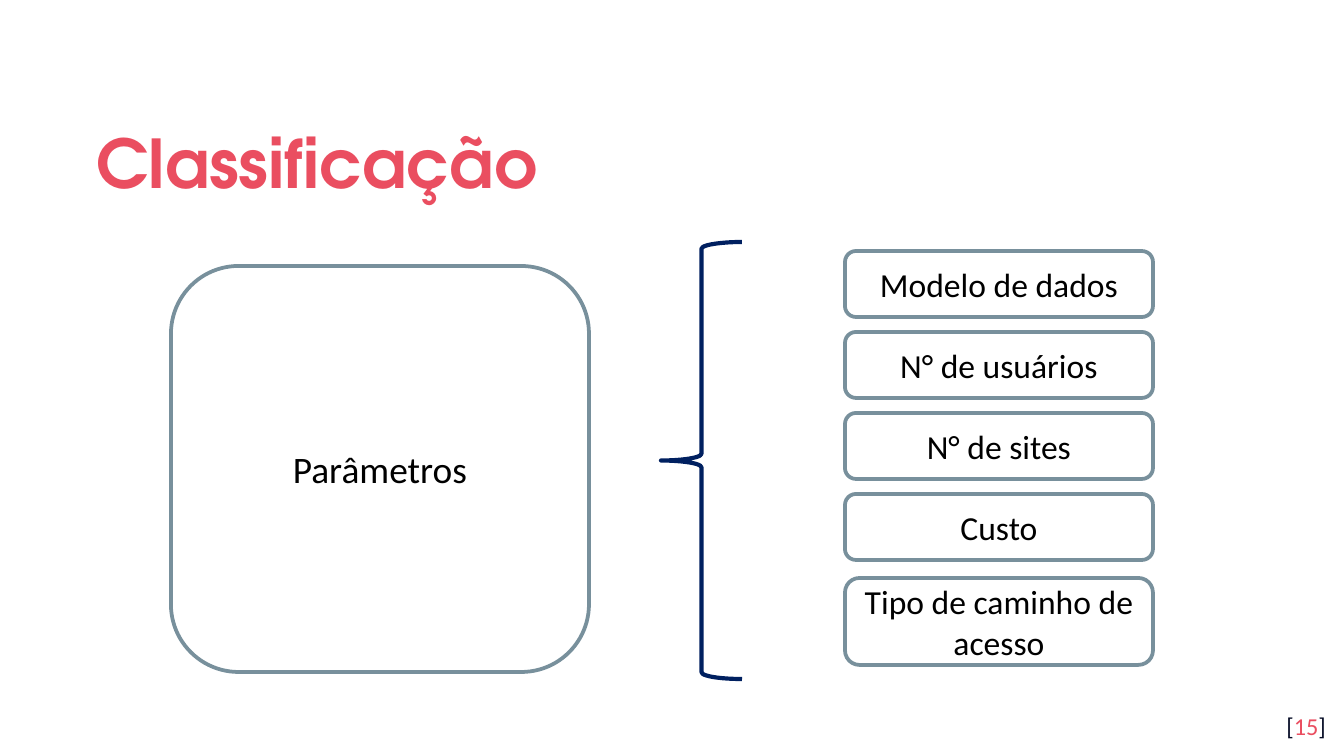
from pptx import Presentation
from pptx.dml.color import RGBColor
from pptx.enum.shapes import MSO_SHAPE
from pptx.enum.text import MSO_ANCHOR, MSO_AUTO_SIZE, PP_ALIGN
from pptx.util import Inches, Pt

ROUNDED, BRACE = MSO_SHAPE.ROUNDED_RECTANGLE, MSO_SHAPE.LEFT_BRACE
MIDDLE, TOP = MSO_ANCHOR.MIDDLE, MSO_ANCHOR.TOP
LEFT, CENTER, RIGHT = PP_ALIGN.LEFT, PP_ALIGN.CENTER, PP_ALIGN.RIGHT

WHITE = RGBColor(0xFF, 0xFF, 0xFF)
BLACK = RGBColor(0x00, 0x00, 0x00)
CORAL = RGBColor(0xEA, 0x4E, 0x60)
INK = RGBColor(0x04, 0x0A, 0x24)
SLATE = RGBColor(0x78, 0x90, 0x9C)
NAVY = RGBColor(0x00, 0x20, 0x60)
TITLE_FONT, BODY_FONT = "TeX Gyre Adventor", "Calibri"

TITLE = "Classificação"
TOPIC = "Parâmetros"
PARAMETERS = ["Modelo de dados", "N° de usuários", "N° de sites", "Custo",
              "Tipo de caminho de acesso"]
PAGE_NUMBER = [("[", INK), ("15", CORAL), ("]", INK)]

SLIDE_SIZE = (1344, 756)
TITLE_BOX = (83, 94, 1179, 124)
TOPIC_BOX = (171, 266, 418, 406)
BRACE_BOX = (661, 242, 81, 437)
PAGE_BOX = (1258, 698, 81, 58)
LIST_LEFT, LIST_TOP, LIST_WIDTH = 845, 251, 308
ROW_HEIGHT, ROW_PITCH = 66, 81
LAST_HEIGHT, LAST_EXTRA_GAP = 87, 3
EMU_PER_PIXEL = 914400 / 134.4


def emu(pixels):
    """Convert pixel lengths to EMU."""
    return [round(pixel * EMU_PER_PIXEL) for pixel in pixels]


def write(shape, runs, size, font, align, anchor, bold=False):
    """Put one paragraph of coloured runs in a shape."""
    frame = shape.text_frame
    frame.word_wrap = True
    frame.auto_size = MSO_AUTO_SIZE.NONE
    frame.vertical_anchor = anchor
    paragraph = frame.paragraphs[0]
    paragraph.alignment = align
    for text, color in runs:
        run = paragraph.add_run()
        run.text = text
        run.font.size = Pt(size)
        run.font.name = font
        run.font.bold = bold
        run.font.color.rgb = color
    return frame


def set_insets(frame, inset):
    """Give a text frame the same inset on all sides."""
    frame.margin_left = frame.margin_right = inset
    frame.margin_top = frame.margin_bottom = inset


def add_outlined(slide, preset, box, color, width):
    """Add a preset shape with an outline and no shadow."""
    shape = slide.shapes.add_shape(preset, *emu(box))
    shape.shadow.inherit = False
    shape.line.color.rgb = color
    shape.line.width = Pt(width)
    return shape


def add_label_box(slide, box, text, size):
    """Add a white rounded box with a centred label."""
    shape = add_outlined(slide, ROUNDED, box, SLATE, 2)
    shape.fill.solid()
    shape.fill.fore_color.rgb = WHITE
    write(shape, [(text, BLACK)], size, BODY_FONT, CENTER, MIDDLE)


presentation = Presentation()
presentation.slide_width, presentation.slide_height = emu(SLIDE_SIZE)
slide = presentation.slides.add_slide(presentation.slide_layouts[5])
slide.background.fill.solid()
slide.background.fill.fore_color.rgb = WHITE

title = slide.shapes.title
title.left, title.top, title.width, title.height = emu(TITLE_BOX)
title_frame = write(title, [(TITLE, CORAL)], 36, TITLE_FONT, LEFT, MIDDLE, bold=True)
title_frame.paragraphs[0].line_spacing = 1.15
set_insets(title_frame, Inches(0.1))

page = slide.shapes.add_textbox(*emu(PAGE_BOX))
set_insets(write(page, PAGE_NUMBER, 13, BODY_FONT, RIGHT, TOP), Inches(0.1))

add_label_box(slide, TOPIC_BOX, TOPIC, 20)
for index, parameter in enumerate(PARAMETERS):
    is_last = index == len(PARAMETERS) - 1
    top = LIST_TOP + index * ROW_PITCH + (LAST_EXTRA_GAP if is_last else 0)
    height = LAST_HEIGHT if is_last else ROW_HEIGHT
    add_label_box(slide, (LIST_LEFT, top, LIST_WIDTH, height), parameter, 18)

brace = add_outlined(slide, BRACE, BRACE_BOX, NAVY, 2.25)
brace.fill.background()

presentation.save("out.pptx")
